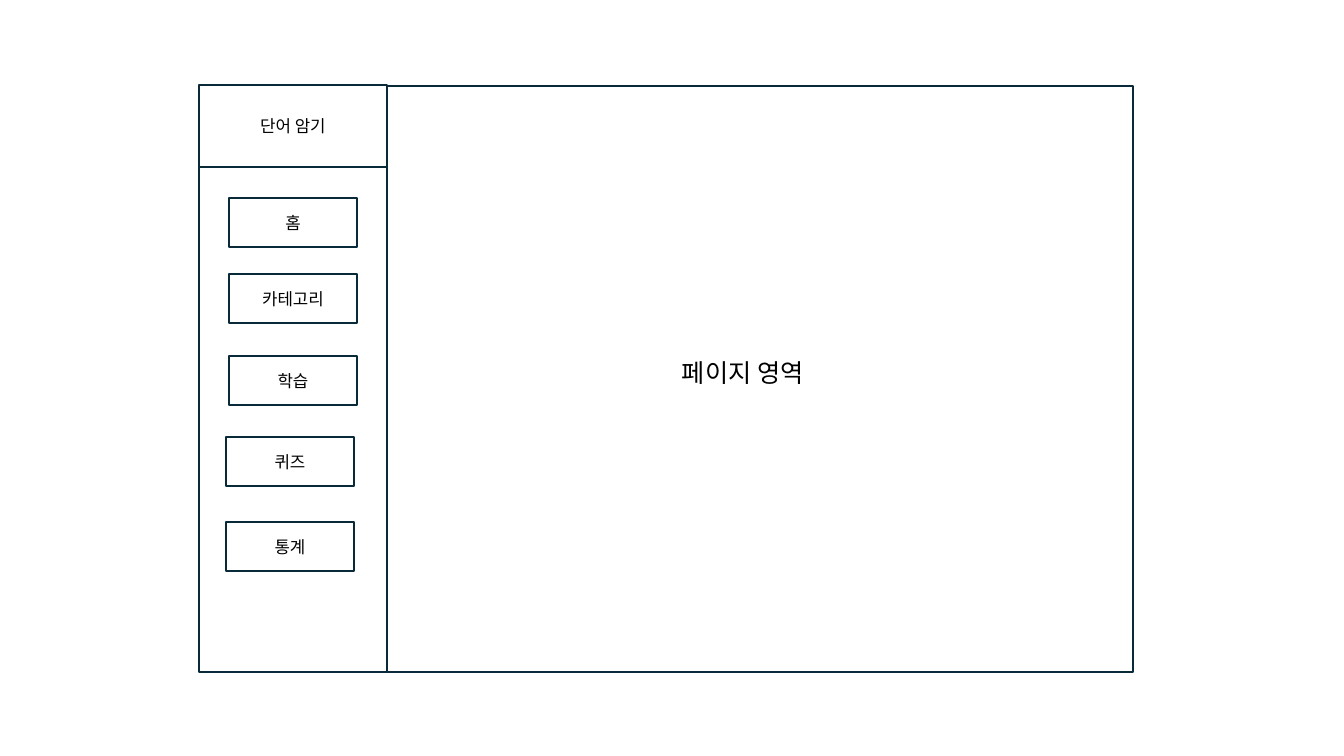
from lxml.etree import SubElement
from pptx import Presentation
from pptx.dml.color import RGBColor
from pptx.enum.shapes import MSO_SHAPE as Shape
from pptx.enum.text import MSO_ANCHOR as Anchor, MSO_AUTO_SIZE as AutoSize, PP_ALIGN as Align
from pptx.oxml.ns import qn
from pptx.util import Pt

# Content: lengths in px
APP_TITLE = "단어 암기"
PAGE_LABEL = "페이지 영역"
MENU = [  # label, left, top
    ("홈", 229, 198),
    ("카테고리", 229, 274),
    ("학습", 229, 356),
    ("퀴즈", 226, 437),
    ("통계", 226, 522),
]
COLORS = {"paper": "FFFFFF", "line": "092A39", "text": "000000"}
FONT = "Noto Sans CJK KR"

# Layout: 100.8 px to the inch
EMU_PER_PX = 914400 / 100.8
SLIDE_SIZE = (1344, 756)
FRAME_LEFT, FRAME_TOP, FRAME_HEIGHT = 199, 86, 586
SIDEBAR_WIDTH, PAGE_WIDTH = 188, 746
HEADER_TOP, HEADER_HEIGHT = 85, 82
BUTTON_SIZE = (128, 49)
PAGE_LABEL_BOX = (672, 352, 156, 40)


def emu(*lengths):
    return [round(length * EMU_PER_PX) for length in lengths]


def color(name):
    return RGBColor.from_string(COLORS[name])


def write(frame, text, size=12, align=Align.CENTER, anchor=Anchor.MIDDLE, wrap=True):
    frame.word_wrap = wrap
    frame.vertical_anchor = anchor
    paragraph = frame.paragraphs[0]
    paragraph.alignment = align
    run = paragraph.add_run()
    run.text = text
    run.font.size = Pt(size)
    run.font.name = FONT
    run.font.color.rgb = color("text")
    # Korean text takes its typeface from the East Asian font
    SubElement(run.font._element, qn("a:ea"), typeface=FONT)


def add_box(slide, left, top, width, height, text=None):
    box = slide.shapes.add_shape(Shape.RECTANGLE, *emu(left, top, width, height))
    box.shadow.inherit = False
    box.fill.solid()
    box.fill.fore_color.rgb = color("paper")
    box.line.color.rgb = color("line")
    box.line.width = Pt(1.5)
    if text:
        write(box.text_frame, text)


def main():
    deck = Presentation()
    deck.slide_width, deck.slide_height = emu(*SLIDE_SIZE)
    slide = deck.slides.add_slide(deck.slide_layouts[6])

    # Sidebar and page area
    add_box(slide, FRAME_LEFT, FRAME_TOP, SIDEBAR_WIDTH, FRAME_HEIGHT)
    add_box(slide, FRAME_LEFT + SIDEBAR_WIDTH, FRAME_TOP, PAGE_WIDTH, FRAME_HEIGHT)

    # Menu buttons
    for label, left, top in MENU:
        add_box(slide, left, top, *BUTTON_SIZE, text=label)

    # Page label
    page_label = slide.shapes.add_textbox(*emu(*PAGE_LABEL_BOX)).text_frame
    write(page_label, PAGE_LABEL, size=18, align=Align.LEFT, anchor=Anchor.TOP, wrap=False)
    page_label.auto_size = AutoSize.SHAPE_TO_FIT_TEXT

    # Sidebar header
    add_box(slide, FRAME_LEFT, HEADER_TOP, SIDEBAR_WIDTH, HEADER_HEIGHT, text=APP_TITLE)

    deck.save("out.pptx")


if __name__ == "__main__":
    main()
